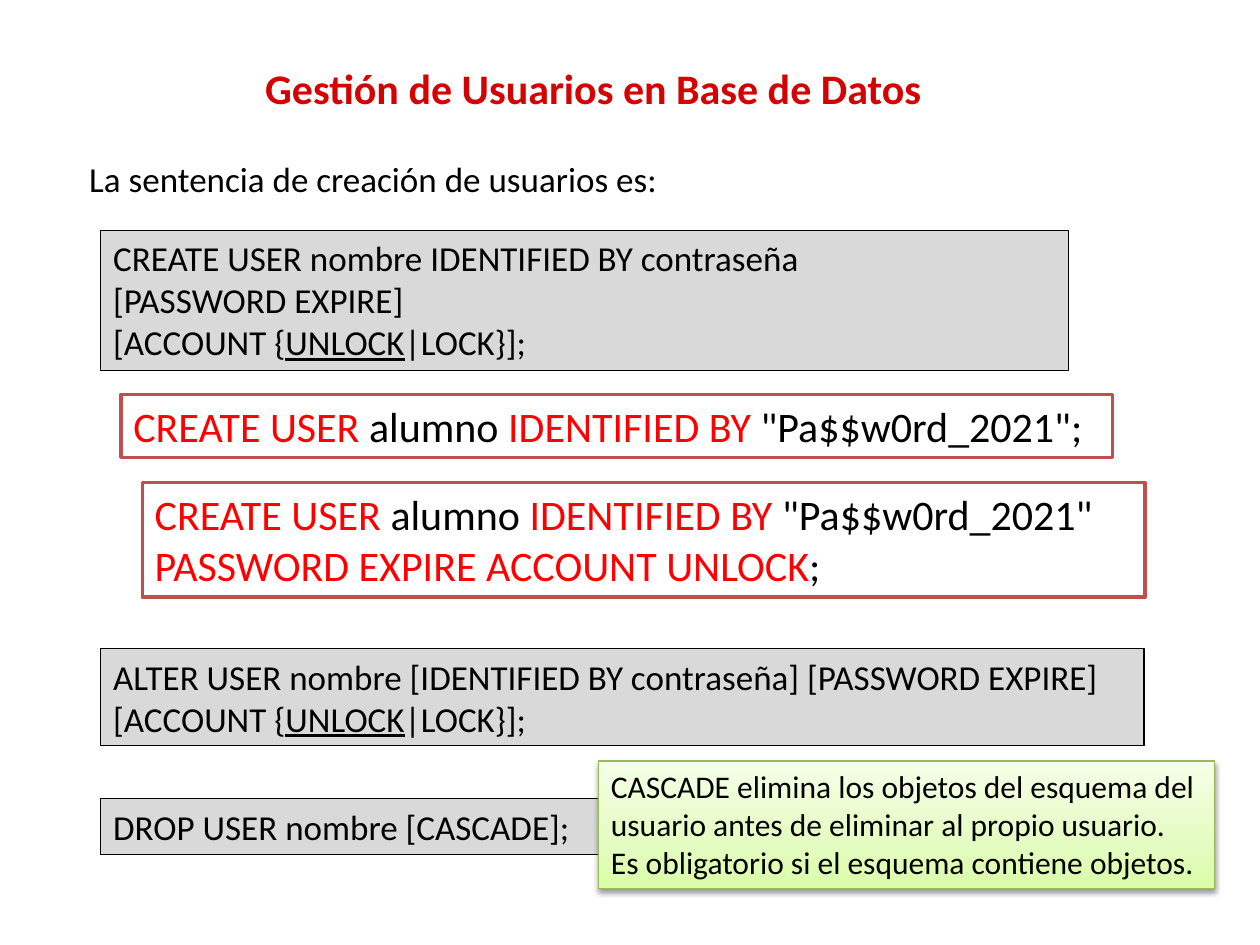
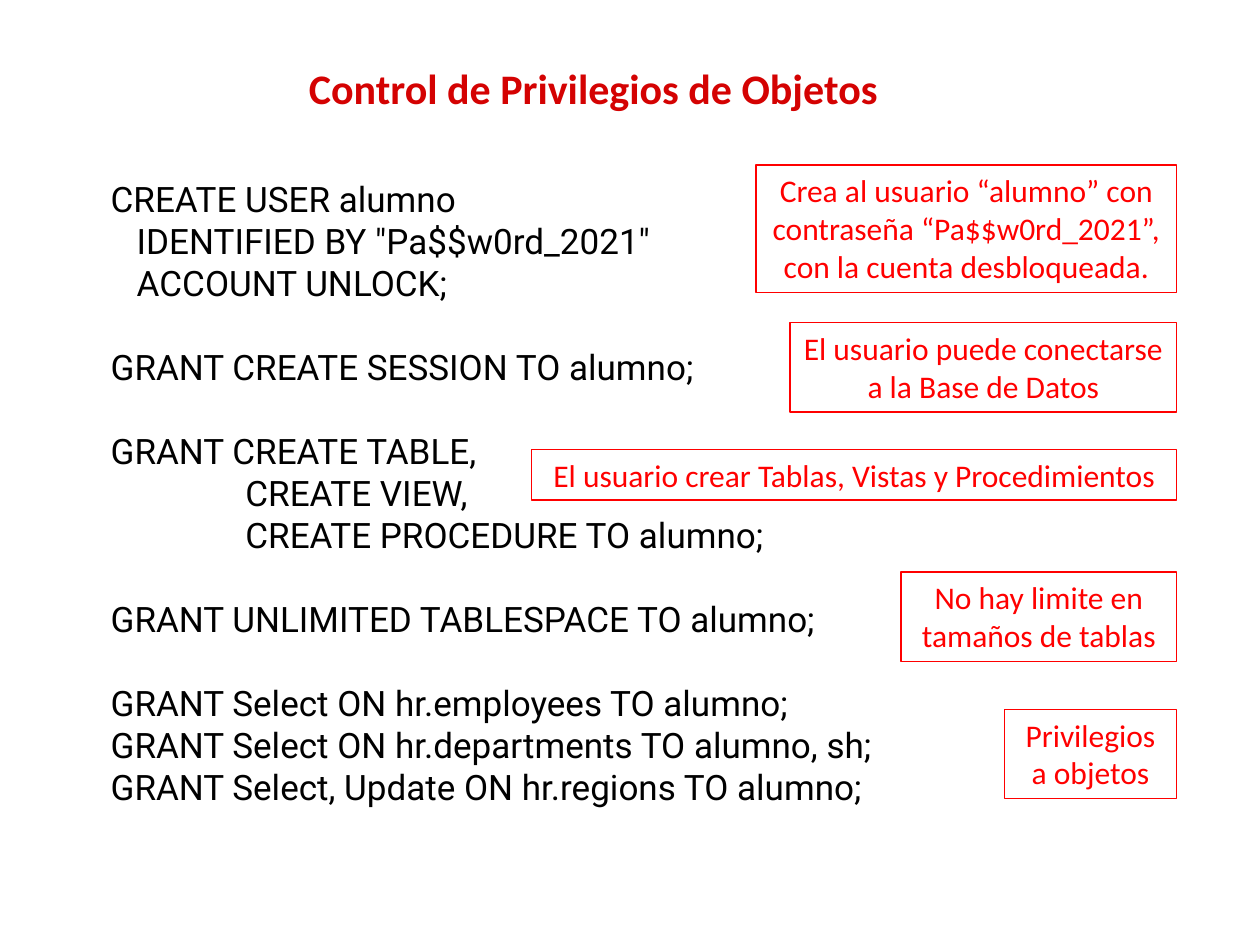
import pptx
import pptx.util
import pptx.dml.color
import pptx.enum.shapes
import pptx.enum.text
import pptx.oxml.ns
import lxml.etree

Inches = pptx.util.Inches
Pt = pptx.util.Pt
qn = pptx.oxml.ns.qn
ALIGN = pptx.enum.text.PP_ALIGN
ANCHOR = pptx.enum.text.MSO_ANCHOR

COLORS = {
    "title": "D40202",
    "text": "000000",
    "keyword": "FF0000",
    "syntax": "D9D9D9",
    "example": "FFFFFF",
    "example_line": "C0504D",
    "note_line": "98B955",
    "note_bottom": "DAFDA7",
    "note_middle": "E4FCC2",
    "note_top": "F5FFE7",
}
TITLE_BOX = (0.33, 0.19, 8.76, 1.01)
ACCOUNT_CLAUSE = ["[ACCOUNT {", ("UNLOCK", {"underline": True}), "|LOCK}];"]


def rgb(name):
    return pptx.dml.color.RGBColor.from_string(COLORS[name])


def write_text(frame, lines, size=20, color="text", font="Calibri", bold=False,
               align=ALIGN.LEFT, anchor=ANCHOR.TOP):
    frame.word_wrap = True
    frame.vertical_anchor = anchor
    for index, line in enumerate(lines):
        paragraph = frame.paragraphs[0] if index == 0 else frame.add_paragraph()
        paragraph.alignment = align
        for part in [line] if isinstance(line, str) else line:
            words, changes = (part, {}) if isinstance(part, str) else part
            run = paragraph.add_run()
            run.text = words
            run.font.size = Pt(size)
            run.font.name = font
            run.font.bold = bold
            run.font.underline = changes.get("underline")
            run.font.color.rgb = rgb(changes.get("color", color))


def add_text(slide, box, lines, **text_format):
    label = slide.shapes.add_textbox(*map(Inches, box))
    write_text(label.text_frame, lines, **text_format)
    return label


def add_panel(slide, box, lines, fill=None, line="text", weight=0.75, **text_format):
    panel = slide.shapes.add_shape(
        pptx.enum.shapes.MSO_SHAPE.RECTANGLE, *map(Inches, box))
    panel.shadow.inherit = False
    if fill:
        panel.fill.solid()
        panel.fill.fore_color.rgb = rgb(fill)
    else:
        panel.fill.background()
    panel.line.color.rgb = rgb(line)
    panel.line.width = Pt(weight)
    write_text(panel.text_frame, lines, **text_format)
    return panel


def add_slide(deck, title):
    slide = deck.slides.add_slide(deck.slide_layouts[6])
    add_text(slide, TITLE_BOX, [title], size=24, color="title", bold=True,
             align=ALIGN.CENTER, anchor=ANCHOR.MIDDLE)
    return slide


def add_example(slide, box, ending, extra_lines=()):
    statement = [("CREATE USER ", {"color": "keyword"}), "alumno ",
                 ("IDENTIFIED BY ", {"color": "keyword"}),
                 '"Pa$$w0rd_2021"' + ending]
    add_panel(slide, box, [statement, *extra_lines], fill="example",
              line="example_line", weight=2, size=24)


def add_cascade_note(slide, box):
    note = add_panel(slide, box, [
        "CASCADE elimina los objetos del esquema del usuario antes de eliminar "
        "al propio usuario.",
        "Es obligatorio si el esquema contiene objetos.",
    ], line="note_line", size=18)
    note.fill.gradient()
    note.fill.gradient_angle = 90
    properties = note._element.spPr
    stops = properties.find(".//" + qn("a:gsLst"))
    for stop in list(stops):
        stops.remove(stop)
    for position, name in ((0, "note_bottom"), (35, "note_middle"), (100, "note_top")):
        stop = lxml.etree.SubElement(stops, qn("a:gs"), pos=str(position * 1000))
        lxml.etree.SubElement(stop, qn("a:srgbClr"), val=COLORS[name])
    shadow = lxml.etree.SubElement(
        properties.find(qn("a:effectLst")), qn("a:outerShdw"),
        blurRad=str(Pt(3.1)), dist=str(Pt(1.6)), dir="5400000", rotWithShape="0")
    shade = lxml.etree.SubElement(shadow, qn("a:srgbClr"), val=COLORS["text"])
    lxml.etree.SubElement(shade, qn("a:alpha"), val="38000")


def add_script(slide, box, statements):
    lines = [line for statement in statements for line in statement]
    script = add_text(slide, box, lines, font="Roboto")
    paragraphs = script.text_frame.paragraphs
    first = 0
    for statement in statements:
        if first:
            paragraphs[first].space_before = Pt(24)
        first += len(statement)
    for paragraph in paragraphs:
        if paragraph.text.startswith("\t"):
            tabs = lxml.etree.SubElement(
                paragraph._p.get_or_add_pPr(), qn("a:tabLst"))
            for stop in (0.5, 1):
                lxml.etree.SubElement(
                    tabs, qn("a:tab"), pos=str(Inches(stop)), algn="l")


def add_comments(slide, right, comments):
    for top, width, height, comment in comments:
        add_panel(slide, (right - width, top, width, height), [comment],
                  line="keyword", size=18, color="keyword", align=ALIGN.CENTER)


def build_users_slide(deck):
    slide = add_slide(deck, "Gestión de Usuarios en Base de Datos")
    add_text(slide, (0.61, 1.2, 6.59, 0.44),
             ["La sentencia de creación de usuarios es:"])
    syntax_panels = [
        (1.83, 7.68, 1.11, ["CREATE USER nombre IDENTIFIED BY contraseña",
                            "[PASSWORD EXPIRE]", ACCOUNT_CLAUSE]),
        (5.15, 8.28, 0.77,
         ["ALTER USER nombre [IDENTIFIED BY contraseña] [PASSWORD EXPIRE]",
          ACCOUNT_CLAUSE]),
        (6.34, 8.28, 0.44, ["DROP USER nombre [CASCADE];"]),
    ]
    for top, width, height, lines in syntax_panels:
        add_panel(slide, (0.8, top, width, height), lines, fill="syntax")
    add_example(slide, (0.96, 3.13, 7.87, 0.5), ";")
    add_example(slide, (1.13, 3.83, 7.96, 0.91), "", [
        [("PASSWORD EXPIRE ACCOUNT UNLOCK", {"color": "keyword"}), ";"]])
    add_cascade_note(slide, (4.75, 6.04, 4.89, 1.01))


def build_privileges_slide(deck):
    slide = add_slide(deck, "Control de Privilegios de Objetos")
    add_script(slide, (0.78, 1.36, 6.69, 5.15), [
        ["CREATE USER alumno",
         '   IDENTIFIED BY "Pa$$w0rd_2021"',
         "   ACCOUNT UNLOCK;"],
        ["GRANT CREATE SESSION TO alumno;"],
        ["GRANT CREATE TABLE,",
         "\t\t CREATE VIEW,",
         "\t\t CREATE PROCEDURE TO alumno;"],
        ["GRANT UNLIMITED TABLESPACE TO alumno;"],
        ["GRANT Select ON hr.employees TO alumno;",
         "GRANT Select ON hr.departments TO alumno, sh;",
         "GRANT Select, Update ON hr.regions TO alumno;"],
    ])
    add_comments(slide, 9.34, [
        (1.31, 3.34, 1.01, "Crea al usuario “alumno” con contraseña "
                           "“Pa$$w0rd_2021”, con la cuenta desbloqueada."),
        (2.56, 3.07, 0.71, "El usuario puede conectarse a la Base de Datos"),
        (3.57, 5.12, 0.4, "El usuario crear Tablas, Vistas y Procedimientos"),
        (4.54, 2.19, 0.71, "No hay limite en tamaños de tablas"),
        (5.63, 1.37, 0.71, "Privilegios a objetos"),
    ])


def main():
    deck = pptx.Presentation()
    deck.slide_width = Inches(10)
    deck.slide_height = Inches(7.5)
    build_users_slide(deck)
    build_privileges_slide(deck)
    deck.save("out.pptx")


if __name__ == "__main__":
    main()
